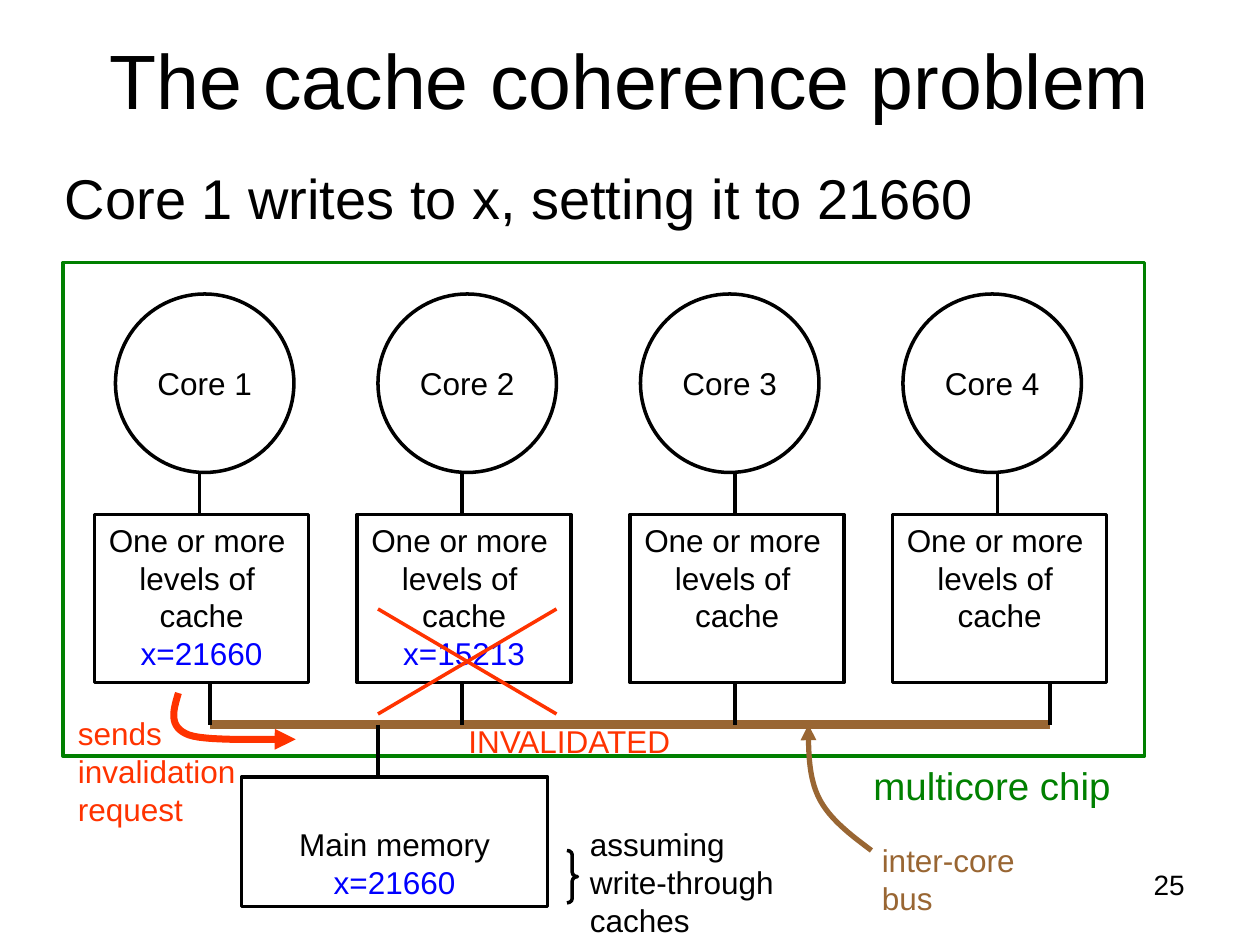
from lxml.etree import SubElement
from pptx import Presentation
from pptx.dml.color import RGBColor
from pptx.enum.shapes import MSO_CONNECTOR, MSO_SHAPE
from pptx.enum.text import MSO_ANCHOR, PP_ALIGN
from pptx.oxml.ns import qn
from pptx.util import Pt

BLACK, BLUE, GREEN, RED, BROWN = "000000", "0000FF", "008000", "FF3300", "996633"
LEFT, CENTER, RIGHT = PP_ALIGN.LEFT, PP_ALIGN.CENTER, PP_ALIGN.RIGHT
TOP, MIDDLE, BOTTOM = MSO_ANCHOR.TOP, MSO_ANCHOR.MIDDLE, MSO_ANCHOR.BOTTOM


def color(value):
    """Turn a hex string into a colour."""
    return RGBColor.from_string(value)


def write(shape, *lines, size=18, colors=(BLACK,), align=LEFT, anchor=TOP, wrap=False):
    """Fill a shape with one paragraph per line, each with its own colour."""
    frame = shape.text_frame
    frame.word_wrap = wrap
    frame.vertical_anchor = anchor
    for index, line in enumerate(lines):
        paragraph = frame.add_paragraph() if index else frame.paragraphs[0]
        paragraph.text = line
        paragraph.alignment = align
        paragraph.font.size = Pt(size)
        paragraph.font.name = "Arial"
        paragraph.font.color.rgb = color(colors[min(index, len(colors) - 1)])


def add_text(slide, box, *lines, **style):
    """Add a text box."""
    write(slide.shapes.add_textbox(*map(Pt, box)), *lines, **style)


def style_line(shape, line_color, width):
    """Set the line of a shape or connector."""
    shape.line.color.rgb = color(line_color)
    shape.line.width = Pt(width)


def add_outline(slide, kind, box, line_color=BLACK):
    """Add an unfilled preset shape."""
    shape = slide.shapes.add_shape(kind, *map(Pt, box))
    shape.shadow.inherit = False
    shape.fill.background()
    style_line(shape, line_color, 2)
    return shape


def add_line(slide, start, end, line_color=BLACK, width=2):
    """Add a straight connector."""
    line = slide.shapes.add_connector(MSO_CONNECTOR.STRAIGHT, *map(Pt, (*start, *end)))
    style_line(line, line_color, width)
    SubElement(line._element.spPr, qn("a:effectLst"))


def bezier_points(start, first, second, end, steps=16):
    """Return points along a cubic curve, without its start."""
    points = []
    for step in range(1, steps + 1):
        t = step / steps
        weights = ((1 - t) ** 3, 3 * t * (1 - t) ** 2, 3 * t * t * (1 - t), t**3)
        corners = (start, first, second, end)
        points.append(tuple(Pt(sum(w * c[axis] for w, c in zip(weights, corners))) for axis in (0, 1)))
    return points


def add_curved_arrow(slide, start, curves, line_color, width):
    """Add an open curve that ends in an arrowhead."""
    builder = slide.shapes.build_freeform(Pt(start[0]), Pt(start[1]), scale=1.0)
    for curve in curves:
        builder.add_line_segments(bezier_points(start, *curve), close=False)
        start = curve[-1]
    arrow = builder.convert_to_shape()
    arrow.shadow.inherit = False
    arrow.fill.background()
    style_line(arrow, line_color, width)
    SubElement(arrow.line._get_or_add_ln(), qn("a:tailEnd"), type="triangle")


def add_core(slide, box, number, cache_left, link_x, bus_x, value):
    """Add a core, its cache and the links down to the bus."""
    left, top, size = box
    core = add_outline(slide, MSO_SHAPE.OVAL, (left, top, size, size))
    write(core, f"Core {number}", align=CENTER, anchor=MIDDLE)
    cache_top, cache_bottom = top + size + 24, top + size + 120
    cache = add_outline(slide, MSO_SHAPE.RECTANGLE, (cache_left, cache_top, 122.4, 96))
    lines = ["One or more \vlevels of \vcache"] + ([value] if value else [])
    write(cache, *lines, colors=(BLACK, BLUE), align=CENTER)
    add_line(slide, (link_x, top + size), (link_x, cache_top))
    add_line(slide, (bus_x, cache_bottom), (bus_x, cache_bottom + 24))


def add_chip(slide, box):
    """Add the multicore chip with its bus and four cores."""
    left, top, width, height = box
    add_line(slide, (left + 84, top + 264), (left + 564, top + 264), BROWN, 5)
    cores = [
        (18, 78, 84, "x=21660"),
        (168, 228, 228, "x=15213"),
        (324, 384, 384, None),
        (474, 534, 564, None),
    ]
    for index, (cache, link, bus, value) in enumerate(cores):
        core_box = (left + 30 + 150 * index, top + 18, 102)
        add_core(slide, core_box, index + 1, left + cache, left + link, left + bus, value)
    add_outline(slide, MSO_SHAPE.RECTANGLE, box, GREEN)
    add_text(slide, (left + 456, top + height, 157.7, 33.8), "multicore chip", size=22, colors=(GREEN,))


def add_memory(slide, box):
    """Add the main memory, its link to the bus and the caching note."""
    left, top, width, height = box
    memory = add_outline(slide, MSO_SHAPE.RECTANGLE, box)
    write(memory, "Main memory", "x=21660", colors=(BLACK, BLUE), align=CENTER, anchor=BOTTOM, wrap=True)
    add_line(slide, (left + 78, top - 30), (left + 78, top))
    brace = add_outline(slide, MSO_SHAPE.RIGHT_BRACE, (left + 186, top + 42, 6, 30))
    brace.adjustments[0] = 0.42
    add_text(slide, (left + 192, top + 24, 124.6, 72), "assuming \vwrite-through \vcaches")


def add_invalidation(slide, box):
    """Cross out the stale value and show the request that does it."""
    left, top, width, height = box
    right, bottom = left + width, top + height
    add_line(slide, (left, bottom), (right, top), RED)
    add_line(slide, (left, top), (right, bottom), RED)
    add_text(slide, (left + 44.6, bottom + 1, 132.5, 28.8), "INVALIDATED", colors=(RED,))
    x, y = left - 114, top + 48
    curves = [
        ((x - 3, y + 10), (x - 6, y + 19.5), (x + 6, y + 24)),
        ((x + 17.5, y + 28), (x + 57, y + 26), (x + 67, y + 26.5)),
    ]
    add_curved_arrow(slide, (x, y), curves, RED, 4)
    add_text(slide, (left - 178.6, bottom - 3.4, 104.4, 72), "sends\vinvalidation\vrequest", colors=(RED,))


def add_bus_label(slide, box):
    """Add the label of the bus and the arrow up to it."""
    left, top, width, height = box
    curves = [
        ((left - 10.8, top), (left - 22.8, top - 9), (left - 28.8, top - 21)),
        ((left - 34.8, top - 33), (left - 34.8, top - 48), (left - 34.8, top - 63)),
    ]
    add_curved_arrow(slide, (left + 1.2, top + 9), curves, BROWN, 3)
    add_text(slide, box, "inter-core\vbus", colors=(BROWN,))


def main():
    """Build and save the slide."""
    presentation = Presentation()
    presentation.slide_width, presentation.slide_height = Pt(720), Pt(540)
    slide = presentation.slides.add_slide(presentation.slide_layouts[6])
    add_text(slide, (516, 492, 168, 37.4), "25", size=16, align=RIGHT, wrap=True)
    add_text(slide, (36, 0, 648, 90), "The cache coherence problem", size=44, align=CENTER, anchor=MIDDLE, wrap=True)
    add_text(slide, (30, 90, 648, 356), "Core 1 writes to x, setting it to 21660", size=32, wrap=True)
    add_chip(slide, (36, 150, 618, 282))
    add_memory(slide, (138, 444, 175, 74))
    add_invalidation(slide, (216, 348, 102, 60))
    add_bus_label(slide, (496.8, 477, 90.7, 50.4))
    presentation.save("out.pptx")


if __name__ == "__main__":
    main()
